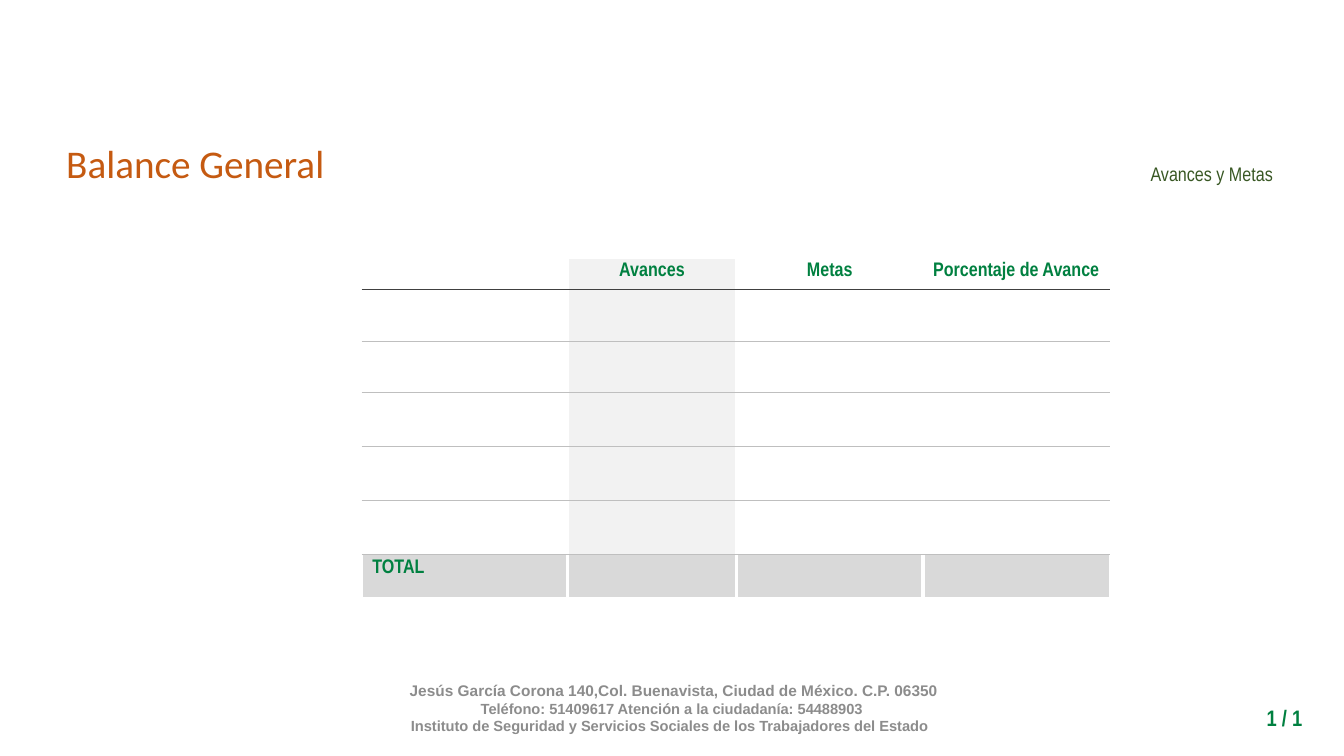
from dataclasses import dataclass
from lxml.etree import SubElement
from pptx import Presentation
from pptx.dml.color import RGBColor as Rgb
from pptx.enum.text import MSO_ANCHOR as Anchor, MSO_AUTO_SIZE as AutoSize, PP_ALIGN as Align
from pptx.oxml import parse_xml
from pptx.oxml.ns import nsdecls, qn
from pptx.util import Cm, Pt


@dataclass(frozen=True)
class Theme:
    green: str = "008040"
    dark_green: str = "385723"
    orange: str = "C55A11"
    footer_gray: str = "8C8C8C"
    header_rule: str = "404040"
    rule_gray: str = "BFBFBF"
    column_gray: str = "F2F2F2"
    total_gray: str = "D9D9D9"
    white: str = "FFFFFF"
    sans: str = "Arial"
    narrow: str = "Arial Narrow"
    heading: str = "Calibri"
    title_size: float = 28
    page_size: float = 16
    body_size: float = 14
    address_size: float = 11
    contact_size: float = 10.5


THEME = Theme()


def add_run(paragraph, text, font, size, color, bold=False):
    run = paragraph.add_run()
    run.text = text
    run.font.name = font
    run.font.size = Pt(size)
    run.font.bold = bold
    run.font.color.rgb = Rgb.from_string(color)


def add_frame(slide, box, anchor=Anchor.TOP, wrap=True):
    frame = slide.shapes.add_textbox(*map(Cm, box)).text_frame
    frame.word_wrap = wrap
    frame.vertical_anchor = anchor
    return frame


def add_borders(cell, sides):
    """sides: (tag, colour, width in points), in schema order L, R, T, B."""
    properties = cell._tc.get_or_add_tcPr()
    for position, (tag, color, width) in enumerate(sides):
        line = parse_xml(f'<a:{tag} {nsdecls("a")} w="{Pt(width)}"/>')
        fill = SubElement(line, qn("a:solidFill"))
        SubElement(fill, qn("a:srgbClr"), val=color)
        properties.insert(position, line)


# Heading: title on the left, section name on the right
def heading(slide, box):
    left, top, width, height = box
    title = add_frame(slide, (left, top + 0.26, 7.09, 1.45), wrap=False)
    title.auto_size = AutoSize.SHAPE_TO_FIT_TEXT
    add_run(title.paragraphs[0], "Balance General", THEME.heading, THEME.title_size, THEME.orange)

    section_width = 15.34
    section = add_frame(slide, (left + width - section_width, top, section_width, height), Anchor.MIDDLE)
    paragraph = section.paragraphs[0]
    paragraph.alignment = Align.RIGHT
    paragraph.line_spacing = 1.15
    add_run(paragraph, "Avances y Metas", THEME.narrow, THEME.body_size, THEME.dark_green)


# Balance table: header row, five open rows, total row
def balance_table(slide, box):
    column_widths = (5.17, 4.26, 4.7, 4.7)
    row_heights = (0.81, 1.3, 1.3, 1.36, 1.36, 1.36, 1.13)
    headers = ("", "Avances", "Metas", "Porcentaje de Avance")
    last_row, last_column = len(row_heights) - 1, len(column_widths) - 1
    table = slide.shapes.add_table(len(row_heights), len(column_widths), *map(Cm, box)).table
    table.first_row = table.horz_banding = False
    for column, width in zip(table.columns, column_widths):
        column.width = Cm(width)

    header_rule = (THEME.header_rule, 0.25)
    row_rule = (THEME.rule_gray, 0.5)
    gap = (THEME.white, 3)
    rules = [gap, header_rule] + [row_rule] * (last_row - 1) + [gap]

    for r, height in enumerate(row_heights):
        table.rows[r].height = Cm(height)
        for c in range(last_column + 1):
            cell = table.cell(r, c)
            cell.margin_top, cell.margin_bottom = Cm(0.13), 0
            shade = THEME.total_gray if r == last_row else THEME.column_gray if c == 1 else None
            if shade:
                cell.fill.solid()
                cell.fill.fore_color.rgb = Rgb.from_string(shade)
            else:
                cell.fill.background()
            sides = [("lnL", *gap)] if c > 0 else []
            sides += [("lnR", *gap)] if c < last_column else []
            add_borders(cell, sides + [("lnT", *rules[r]), ("lnB", *rules[r + 1])])

            label = headers[c] if r == 0 else "TOTAL" if (r, c) == (last_row, 0) else ""
            paragraph = cell.text_frame.paragraphs[0]
            paragraph.font.size = Pt(THEME.body_size)
            if label:
                paragraph.alignment = Align.CENTER if r == 0 else Align.LEFT
                add_run(paragraph, label, THEME.narrow, THEME.body_size, THEME.green, bold=True)


# Footer: centred address lines and the page number
def footer(slide, box):
    left, top, width, height = box
    address = add_frame(slide, (left, top, 19.23, height), Anchor.MIDDLE)
    address.margin_bottom = Cm(0.62)
    lines = (
        (" Jesús García Corona 140,Col. Buenavista, Ciudad de México. C.P. 06350", THEME.address_size),
        ("Teléfono: 51409617 Atención a la ciudadanía: 54488903", THEME.contact_size),
        ("Instituto de Seguridad y Servicios Sociales de los Trabajadores del Estado ", THEME.contact_size),
    )
    for index, (text, size) in enumerate(lines):
        paragraph = address.add_paragraph() if index else address.paragraphs[0]
        paragraph.alignment = Align.CENTER
        add_run(paragraph, text, THEME.sans, size, THEME.footer_gray, bold=True)

    page_width = 3.2
    page = add_frame(slide, (left + width - page_width, top + 0.05, page_width, 0.94))
    page.auto_size = AutoSize.SHAPE_TO_FIT_TEXT
    page.paragraphs[0].alignment = Align.RIGHT
    add_run(page.paragraphs[0], "1 / 1", THEME.narrow, THEME.page_size, THEME.green, bold=True)


deck = Presentation()
deck.slide_width, deck.slide_height = Cm(33.87), Cm(19.05)
balance = deck.slides.add_slide(deck.slide_layouts[6])
heading(balance, (1.42, 3.12, 30.91, 2.41))
balance_table(balance, (9.13, 6.48, 18.83, 8.62))
footer(balance, (7.32, 17.58, 25.75, 1.02))
deck.save("out.pptx")
